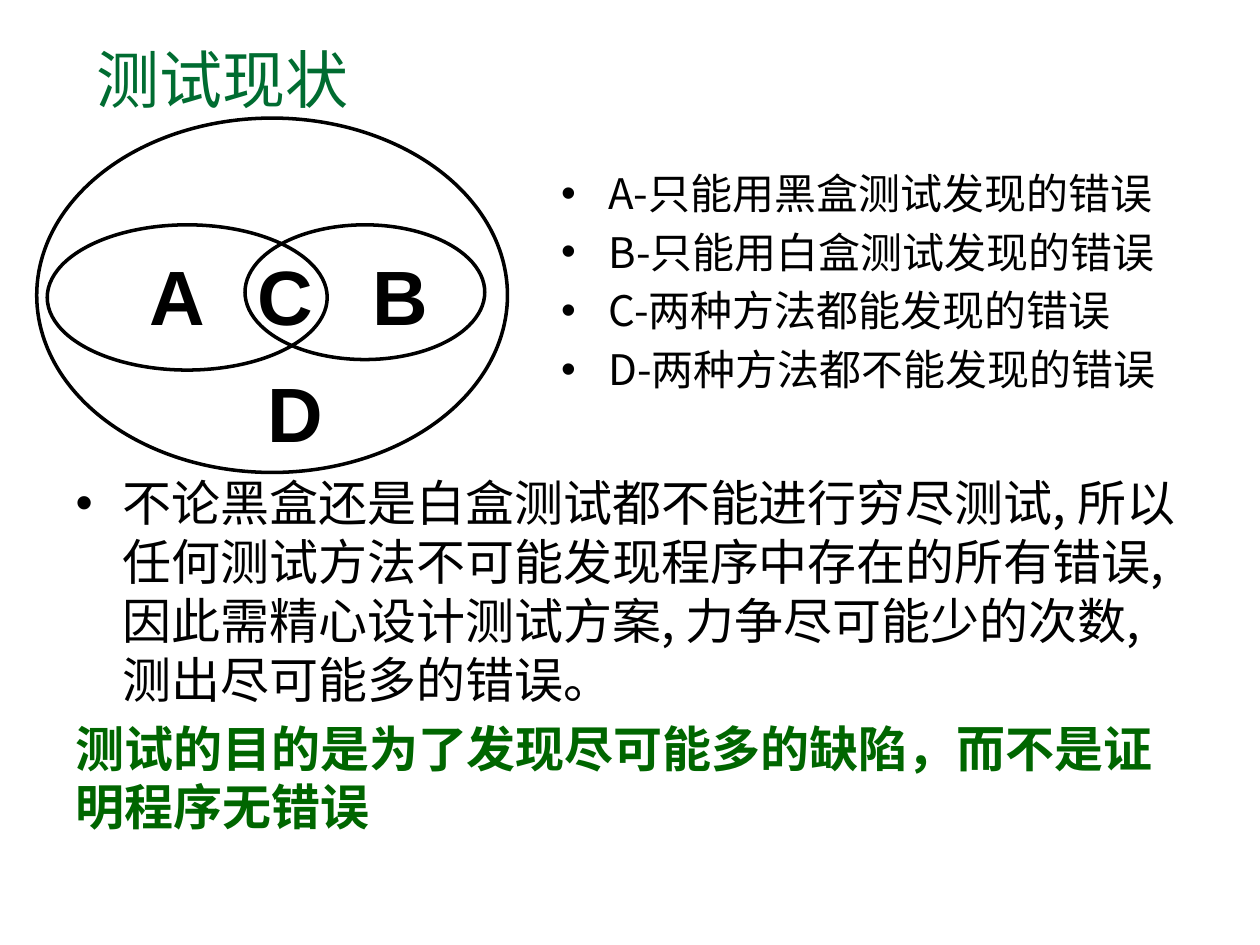
from lxml import etree
from pptx import Presentation
from pptx import util as u
from pptx.dml import color
from pptx.enum import shapes, text
from pptx.oxml import ns

COLORS = {"title": "006C31", "goal": "006600", "ink": "000000", "paper": "FFFFFF"}
SANS = "Noto Sans CJK SC"


def write(para, words, font=SANS, size=24, ink="ink", bold=False, bullet=None,
          left=0, hang=0, before=0):
    props = para._p.get_or_add_pPr()
    props.set("marL", str(u.Pt(left)))
    props.set("indent", str(u.Pt(-hang)))
    if bullet:
        etree.SubElement(props, ns.qn("a:buFont")).set("typeface", "Arial")
        etree.SubElement(props, ns.qn("a:buChar")).set("char", bullet)
    else:
        etree.SubElement(props, ns.qn("a:buNone"))
    para.alignment = text.PP_ALIGN.LEFT
    para.space_before = u.Pt(before)
    span = para.add_run()
    span.text = words
    span.font.name = font
    span.font.size = u.Pt(size)
    span.font.bold = bold
    span.font.color.rgb = color.RGBColor.from_string(COLORS[ink])
    etree.SubElement(span._r.get_or_add_rPr(), ns.qn("a:ea")).set("typeface", font)


deck = Presentation()
deck.slide_width, deck.slide_height = u.Pt(720), u.Pt(540)
page = deck.slides.add_slide(deck.slide_layouts[1])

title = page.shapes.title
title.left, title.top, title.width, title.height = map(u.Pt, (48, 18, 564, 54))
title.text_frame.auto_size = text.MSO_AUTO_SIZE.NONE
title.text_frame.vertical_anchor = text.MSO_ANCHOR.MIDDLE
write(title.text_frame.paragraphs[0], "测试现状", size=36, ink="title")

body = page.placeholders[1]
body.left, body.top, body.width, body.height = map(u.Pt, (36, 92, 648, 398))
frame = body.text_frame
frame.auto_size = text.MSO_AUTO_SIZE.NONE
regions = ["A-只能用黑盒测试发现的错误", "B-只能用白盒测试发现的错误",
           "C-两种方法都能发现的错误", "D-两种方法都不能发现的错误"]
for index, words in enumerate(regions):
    para = frame.add_paragraph() if index else frame.paragraphs[0]
    write(para, words, bullet="•", left=304.5, hang=27, before=4.8 if index else 0)
write(frame.add_paragraph(),
      "不论黑盒还是白盒测试都不能进行穷尽测试, 所以任何测试方法不可能发现程序中存在的所有错误, "
      "因此需精心设计测试方案, 力争尽可能少的次数,测出尽可能多的错误。",
      size=28, bullet="•", left=27, hang=27, before=45)
write(frame.add_paragraph(), "测试的目的是为了发现尽可能多的缺陷，而不是证明程序无错误",
      font="Noto Sans CJK JP", size=28, ink="goal", bold=True, before=5.6)

venn = page.shapes.add_group_shape()
ovals = [(21, 67.5, 269, 202.5, True),
         (27, 128.5, 160, 83, True),
         (140, 128.5, 137, 77, False)]
for left, top, width, height, filled in ovals:
    oval = venn.shapes.add_shape(shapes.MSO_SHAPE.OVAL,
                                 *map(u.Pt, (left, top, width, height)))
    oval.shadow.inherit = False
    if filled:
        oval.fill.solid()
        oval.fill.fore_color.rgb = color.RGBColor.from_string(COLORS["paper"])
    else:
        oval.fill.background()
    oval.line.color.rgb = color.RGBColor.from_string(COLORS["ink"])
    oval.line.width = u.Pt(2)

for letter, left, top in [("C", 140, 139), ("B", 206, 139), ("A", 78.5, 139), ("D", 146, 206)]:
    box = venn.shapes.add_textbox(*map(u.Pt, (left, top, 55, 60.5)))
    box.text_frame.word_wrap = True
    box.text_frame.margin_top = u.Pt(3)
    write(box.text_frame.paragraphs[0], letter, font="Arial", size=44, bold=True)

deck.save("out.pptx")
